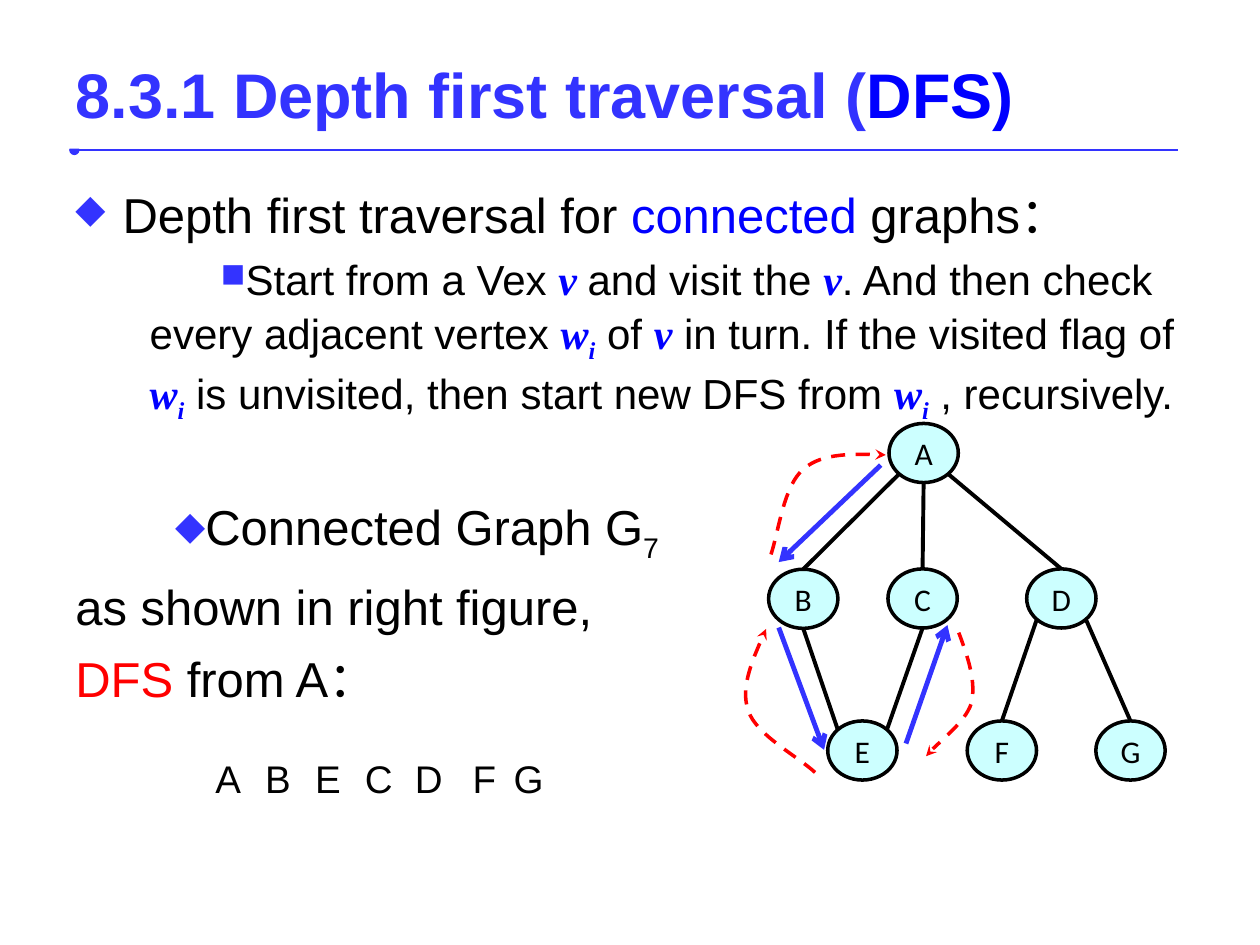
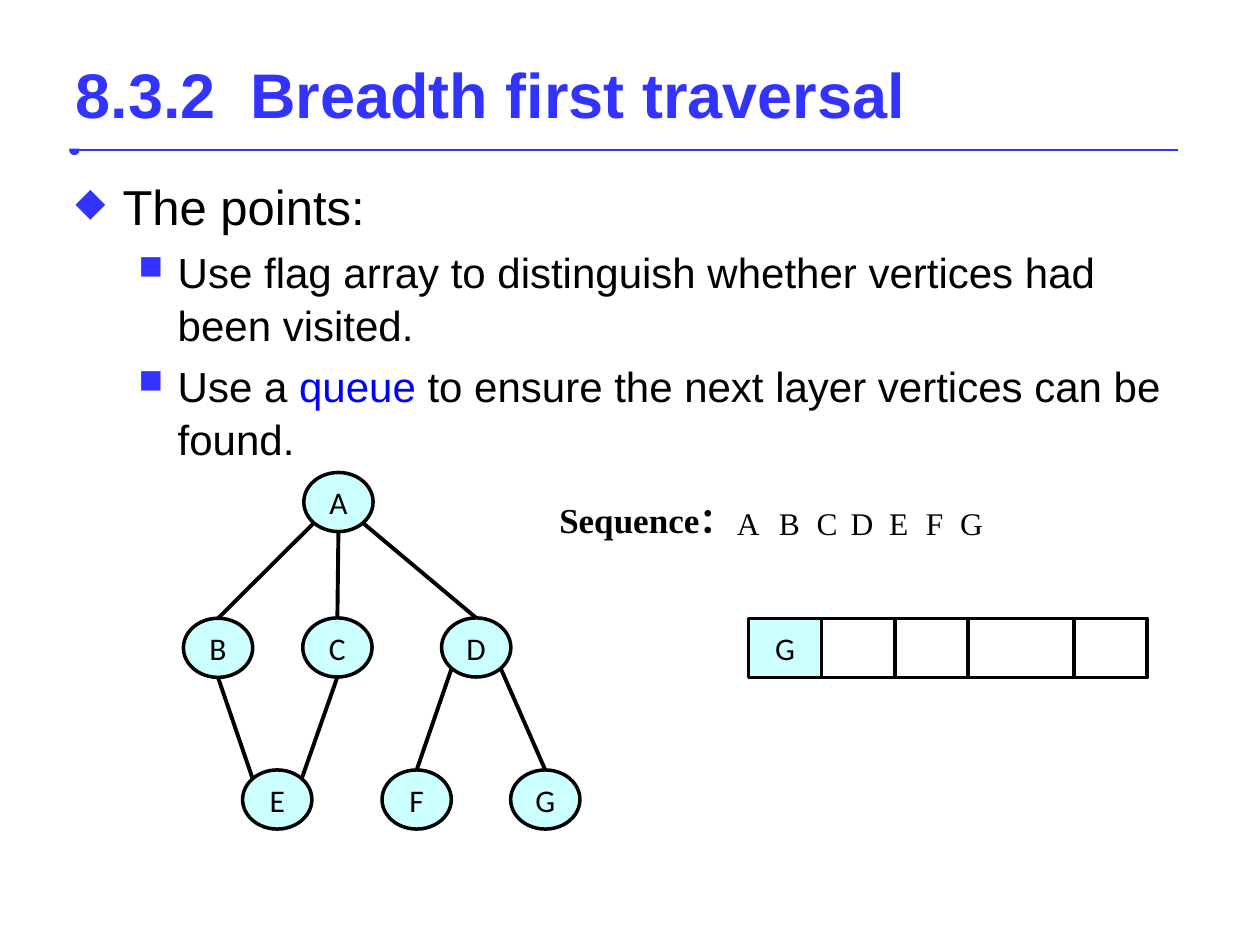
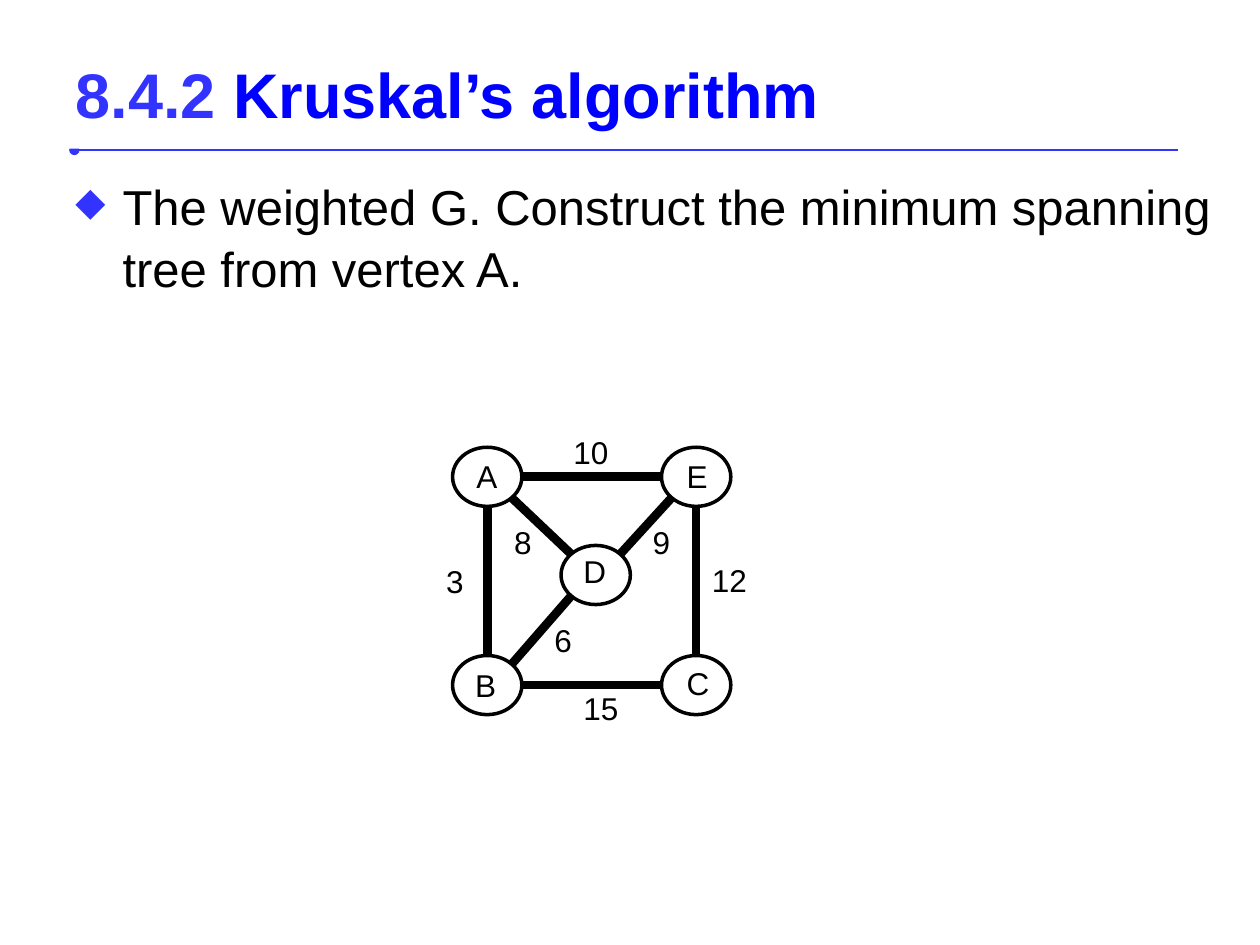
from collections import namedtuple
from dataclasses import dataclass
from lxml.etree import SubElement
from pptx import Presentation
from pptx.dml.color import RGBColor
from pptx.enum.dml import MSO_LINE
from pptx.enum.shapes import MSO_CONNECTOR, MSO_SHAPE
from pptx.enum.text import MSO_ANCHOR, MSO_AUTO_SIZE, PP_ALIGN
from pptx.oxml.ns import qn
from pptx.util import Pt

Box = namedtuple("Box", "x y w h")


@dataclass(frozen=True)
class Theme:
    accent: str = "3333FF"
    key: str = "0000FF"
    alert: str = "FF0000"
    ink: str = "000000"
    paper: str = "FFFFFF"
    node: str = "CCFFFF"
    sans: str = "Arial"
    serif: str = "Times New Roman"
    label_font: str = "Calibri"
    title_size: int = 36
    body_size: int = 28
    detail_size: int = 24
    visit_size: int = 22
    heading_size: int = 20
    label_size: int = 18


THEME = Theme()
TITLE_BOX = Box(36, 21.6, 648, 63.4)
RULE_BOX = Box(42.5, 85.7, 630.7, 0)
NODE_W, NODE_H = 39.6, 33.8

# Points on a node's outline, as fractions of its half width and height
DIAG = 0.71
SITES = {"n": (0, -1), "s": (0, 1), "w": (-1, 0), "e": (1, 0),
         "nw": (-DIAG, -DIAG), "ne": (DIAG, -DIAG),
         "sw": (-DIAG, DIAG), "se": (DIAG, DIAG)}

TREE_NODES = {"A": (68.8, 0), "D": (147.5, 83.1), "B": (0, 83.3), "C": (68.2, 83.1),
              "E": (33.8, 170), "F": (113.5, 170), "G": (187, 170)}
TREE_EDGES = [("A", "se", "D", "n"), ("A", "sw", "B", "n"), ("A", "s", "C", "n"),
              ("B", "s", "E", "nw"), ("C", "s", "E", "ne"),
              ("D", "sw", "F", "n"), ("D", "se", "G", "n")]

# Steps of the depth first walk, relative to the tree
FORWARD_STEPS = [((64.1, 23.8), (5.8, 79.2)), ((5.8, 116.6), (31.7, 186.5)),
                 ((78.5, 182.9), (102.2, 115.2))]
BACK_STEPS = [
    [(108.7, 119.5), (113.8, 133.2), (118.8, 147.6), (115.9, 159.8),
     (112.3, 171.4), (96.5, 182.2), (90, 190.1)],
    [(26.6, 199.4), (16.6, 190.1), (-7.2, 177.8), (-11.5, 164.2),
     (-16.6, 150.5), (-8.6, 133.9), (-1.4, 117.4)],
    [(1.4, 74.9), (5.8, 61.9), (8.6, 35.3), (20.2, 25.9),
     (31, 16.6), (49, 17.3), (67, 18)],
]

WEIGHTED_NODES = {"A": (0, 0), "E": (119.4, 0), "B": (0, 119),
                  "C": (119.4, 119), "D": (62, 56.1)}
WEIGHTED_EDGES = [("A", "e", "E", "w"), ("A", "s", "B", "n"), ("A", "se", "D", "nw"),
                  ("B", "e", "C", "w"), ("B", "ne", "D", "sw"),
                  ("D", "ne", "E", "sw"), ("E", "s", "C", "n")]
WEIGHTED_LABELS = {"A": (6.5, 2.2), "B": (5.8, 121.7), "C": (126.7, 120.2),
                   "D": (67.7, 56.2), "E": (126.7, 2.2), "3": (-10.8, 61.9),
                   "8": (28.1, 39.6), "9": (107.3, 39.6), "12": (141.1, 61.2),
                   "15": (67.7, 134.6), "6": (51.1, 95.8), "10": (61.9, -11.5)}


def rgb(colour):
    return RGBColor.from_string(colour)


def place(box):
    return [Pt(length) for length in box]


# Text
def style_run(run, size, colour=THEME.ink, face=THEME.sans, bold=False, italic=False):
    font = run.font
    font.size, font.name, font.bold, font.italic = Pt(size), face, bold, italic
    font.color.rgb = rgb(colour)


def add_runs(paragraph, pieces, size):
    """Each piece is plain text or a (text, role) pair."""
    for piece in pieces:
        text, role = (piece, "plain") if isinstance(piece, str) else piece
        run = paragraph.add_run()
        run.text = text
        if role in ("variable", "index"):
            style_run(run, size, THEME.key, THEME.serif, True, True)
        else:
            colour = {"key": THEME.key, "alert": THEME.alert}.get(role, THEME.ink)
            style_run(run, size, colour)
        if role in ("index", "subscript"):
            run.font._element.set("baseline", "-25000")


def add_bullet(paragraph, mark, margin, indent):
    props = paragraph._p.get_or_add_pPr()
    props.set("marL", str(Pt(margin)))
    props.set("indent", str(Pt(indent)))
    colour = SubElement(props, qn("a:buClr"))
    SubElement(colour, qn("a:srgbClr"), val=THEME.accent)
    SubElement(props, qn("a:buSzPct"), val="80000")
    SubElement(props, qn("a:buChar"), char=mark)


def add_body(slide, box, paragraphs):
    """Each paragraph is (size, bullet or None, space before or None, pieces)."""
    body = slide.shapes.add_textbox(*place(box))
    body.fill.solid()
    body.fill.fore_color.rgb = rgb(THEME.paper)
    frame = body.text_frame
    frame.word_wrap = True
    for number, (size, bullet, gap, pieces) in enumerate(paragraphs):
        paragraph = frame.add_paragraph() if number else frame.paragraphs[0]
        paragraph.line_spacing = 1.05
        paragraph.space_before = Pt(gap or 0.2 * size)
        add_runs(paragraph, pieces, size)
        if bullet:
            add_bullet(paragraph, *bullet)


def add_label(slide, box, text, size=THEME.label_size, face=THEME.sans, bold=False):
    label = slide.shapes.add_textbox(*place(box))
    label.text_frame.word_wrap = True
    label.text_frame.text = text
    style_run(label.text_frame.paragraphs[0].runs[0], size, face=face, bold=bold)


def add_visits(slide, box, starts, letters, size, face):
    for start, letter in zip(starts, letters):
        add_label(slide, Box(box.x + start, box.y, box.w, box.h), letter, size, face)


# Lines and shapes
def add_line_end(shape, end, kind):
    SubElement(shape.element.spPr.find(qn("a:ln")), qn(f"a:{end}"), type=kind)


def add_line(shapes, start, end, colour, width):
    line = shapes.add_connector(MSO_CONNECTOR.STRAIGHT, *place(start + end))
    line.line.color.rgb = rgb(colour)
    line.line.width = Pt(width)
    SubElement(line.element.spPr, qn("a:effectLst"))
    return line


def add_cell(shapes, kind, box, fill, text=""):
    cell = shapes.add_shape(kind, *place(box))
    cell.shadow.inherit = False
    cell.fill.solid()
    cell.fill.fore_color.rgb = rgb(fill)
    cell.line.color.rgb = rgb(THEME.ink)
    cell.line.width = Pt(2)
    if text:
        frame = cell.text_frame
        frame.text = text
        frame.vertical_anchor = MSO_ANCHOR.MIDDLE
        frame.paragraphs[0].alignment = PP_ALIGN.CENTER
        style_run(frame.paragraphs[0].runs[0], THEME.label_size, face=THEME.label_font)


def add_graph(shapes, box, nodes, edges, edge_width, fill, named):
    def site(name, side):
        (left, top), (dx, dy) = nodes[name], SITES[side]
        return (box.x + left + NODE_W / 2 * (1 + dx), box.y + top + NODE_H / 2 * (1 + dy))

    for first, first_side, second, second_side in edges:
        add_line(shapes, site(first, first_side), site(second, second_side),
                 THEME.ink, edge_width)
    for name, (left, top) in nodes.items():
        add_cell(shapes, MSO_SHAPE.OVAL, Box(box.x + left, box.y + top, NODE_W, NODE_H),
                 fill, name if named else "")


def add_tree(slide, box):
    add_graph(slide.shapes.add_group_shape().shapes, box, TREE_NODES, TREE_EDGES,
              2.25, THEME.node, named=True)


def curve_points(controls, steps=16):
    """Points along joined cubic curves."""
    points = [controls[0]]
    for first in range(0, len(controls) - 1, 3):
        segment = controls[first:first + 4]
        for step in range(1, steps + 1):
            t = step / steps
            weights = ((1 - t) ** 3, 3 * t * (1 - t) ** 2, 3 * t * t * (1 - t), t ** 3)
            points.append(tuple(sum(w * c for w, c in zip(weights, axis))
                                for axis in zip(*segment)))
    return points


def add_walk(slide, box):
    def shifted(point):
        return (box.x + point[0], box.y + point[1])

    for start, end in FORWARD_STEPS:
        arrow = add_line(slide.shapes, shifted(start), shifted(end), THEME.accent, 2.75)
        add_line_end(arrow, "tailEnd", "arrow")
    for controls in BACK_STEPS:
        start, *rest = [place(shifted(point)) for point in curve_points(controls)]
        builder = slide.shapes.build_freeform(*start)
        builder.add_line_segments(rest, close=False)
        retreat = builder.convert_to_shape()
        retreat.shadow.inherit = False
        retreat.fill.background()
        retreat.line.color.rgb = rgb(THEME.alert)
        retreat.line.width = Pt(2)
        retreat.line.dash_style = MSO_LINE.DASH
        add_line_end(retreat, "tailEnd", "stealth")


def add_queue(slide, box, widths, first_item):
    left = box.x
    for number, width in enumerate(widths):
        add_cell(slide.shapes, MSO_SHAPE.RECTANGLE, Box(left, box.y, width, box.h),
                 THEME.paper if number else THEME.node, "" if number else first_item)
        left += width


# Slide frame: title over a rule with a round start
def add_titled_slide(deck, pieces):
    slide = deck.slides.add_slide(deck.slide_layouts[5])
    title = slide.shapes.title
    title.left, title.top, title.width, title.height = place(TITLE_BOX)
    title.fill.solid()
    title.fill.fore_color.rgb = rgb(THEME.paper)
    frame = title.text_frame
    frame.auto_size = MSO_AUTO_SIZE.NONE
    frame.word_wrap = True
    frame.vertical_anchor = MSO_ANCHOR.MIDDLE
    heading = frame.paragraphs[0]
    heading.alignment = PP_ALIGN.LEFT
    for text, colour in pieces:
        run = heading.add_run()
        run.text = text
        style_run(run, THEME.title_size, colour, bold=True)

    x, y, length, _ = RULE_BOX
    rule = add_line(slide.shapes, (x, y), (x + length, y), THEME.accent, 1.5)
    add_line_end(rule, "headEnd", "oval")
    title.element.addprevious(rule.element)
    return slide


TOP_BULLET = ("◆", 27, -27)
SUB_BULLET = ("■", 58.5, -22.5)


def depth_first_slide(deck):
    slide = add_titled_slide(deck, [("8.3.1 Depth first traversal (", THEME.accent),
                                    ("DFS)", THEME.key)])
    v, w, i = ("v", "variable"), ("w", "variable"), ("i", "index")
    large, small = THEME.body_size, THEME.detail_size
    add_body(slide, Box(36, 100, 648, 382.5), [
        (large, TOP_BULLET, None,
         ["Depth first traversal for ", ("connected", "key"), " graphs："]),
        (small, ("■", 42.5, 40.5), None,
         ["Start from a Vex ", ("v ", "variable"), "and visit the ", v,
          ". And then check every adjacent vertex ", w, i, " of ", v,
          " in turn. If the visited flag of ", w, i,
          " is unvisited, then start new DFS from ", w, i, " , recursively."]),
        (large, ("◆", 0, 57), 39.5, ["Connected Graph G", ("7", "subscript")]),
        (large, None, None, ["as shown in right figure,"]),
        (large, None, None, [("DFS", "alert"), " from A："]),
    ])
    tree_box = Box(439.2, 242, 226.6, 203.8)
    add_tree(slide, tree_box)
    add_walk(slide, tree_box)
    add_visits(slide, Box(116, 427.7, 17.3, 33.8), [0, 28.5, 57, 85.5, 114, 147, 170.5],
               "ABECDFG", THEME.visit_size, THEME.sans)


def breadth_first_slide(deck):
    slide = add_titled_slide(deck, [("8.3.2  Breadth first traversal", THEME.accent)])
    small = THEME.detail_size
    add_body(slide, Box(36, 95.8, 648, 382.5), [
        (THEME.body_size, TOP_BULLET, None, ["The points:"]),
        (small, SUB_BULLET, None,
         ["Use flag array to distinguish whether vertices had been visited."]),
        (small, SUB_BULLET, None,
         ["Use a ", ("queue", "key"),
          " to ensure the next layer vertices can be found."]),
    ])
    add_tree(slide, Box(104.8, 270, 226.6, 203.8))
    add_queue(slide, Box(427.7, 353.5, 227.7, 33.8), [41.8, 41.8, 41.8, 60.5, 41.8], "G")
    add_visits(slide, Box(414, 284.4, 27.4, 28.8), [0, 24, 45.5, 65, 87, 108, 127.5],
               "ABCDEFG", THEME.label_size, THEME.serif)
    add_label(slide, Box(312.5, 281.5, 116.6, 31.7), "Sequence：",
              THEME.heading_size, THEME.serif, bold=True)


def kruskal_slide(deck):
    slide = add_titled_slide(deck, [("8.4.2 ", THEME.accent),
                                    ("Kruskal’s algorithm", THEME.key)])
    add_body(slide, Box(36, 95.8, 666.7, 74.9), [
        (THEME.body_size, TOP_BULLET, None,
         ["The weighted G. Construct the minimum spanning tree from vertex A."]),
    ])
    graph_box = Box(258.6, 255.6, 159, 152.8)
    add_graph(slide.shapes, graph_box, WEIGHTED_NODES, WEIGHTED_EDGES,
              5, THEME.paper, named=False)
    for text, (left, top) in WEIGHTED_LABELS.items():
        width = 28 if len(text) == 1 else 39.6
        add_label(slide, Box(graph_box.x + left, graph_box.y + top, width, 28.8), text)


def main():
    deck = Presentation()
    deck.slide_width, deck.slide_height = Pt(720), Pt(540)
    depth_first_slide(deck)
    breadth_first_slide(deck)
    kruskal_slide(deck)
    deck.save("out.pptx")


if __name__ == "__main__":
    main()
